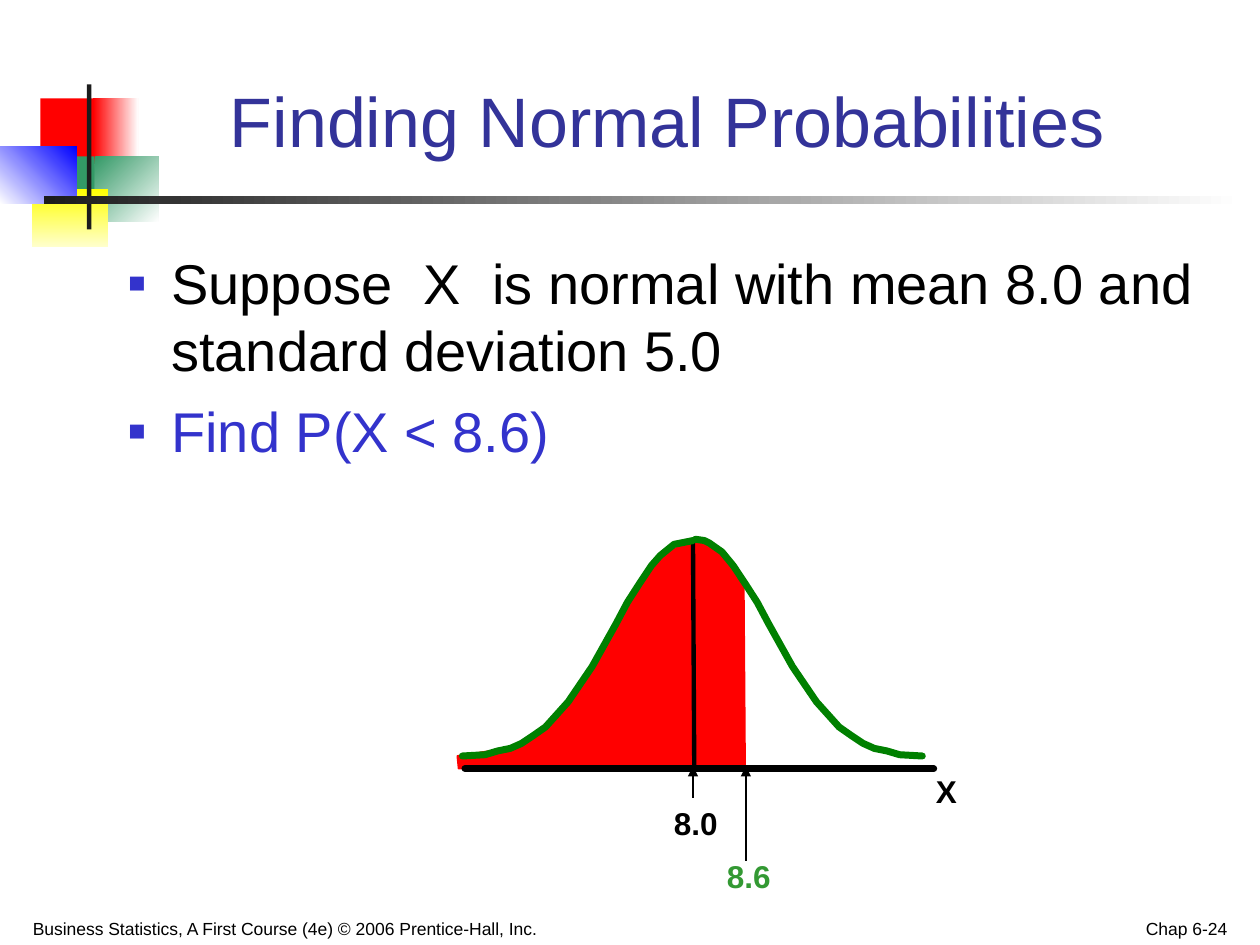
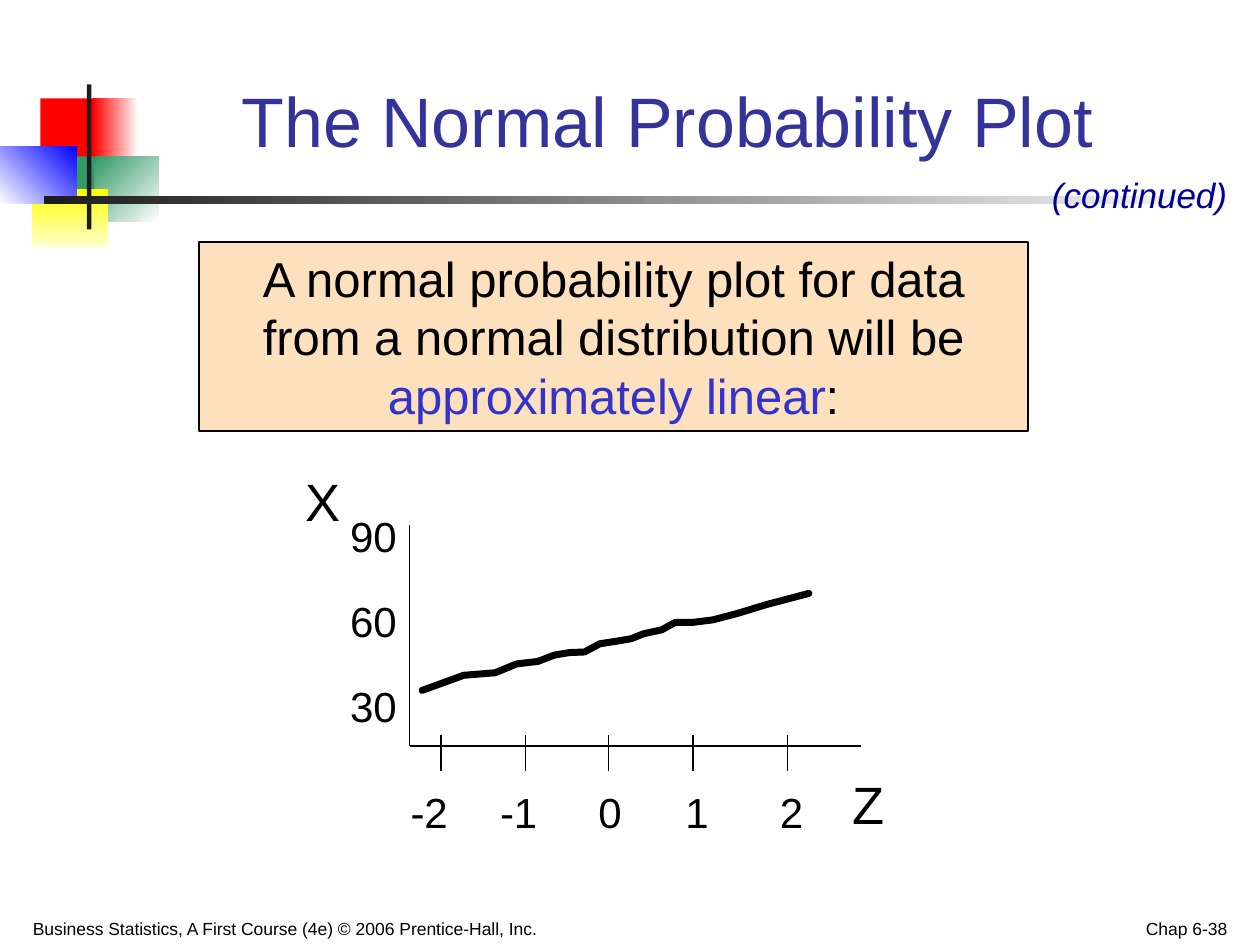
from dataclasses import dataclass
from typing import Optional, Sequence

import pptx
import pptx.dml.color
import pptx.enum.shapes
import pptx.enum.text
import pptx.oxml
import pptx.oxml.ns
import pptx.util

ALIGN = pptx.enum.text.PP_ALIGN
ANCHOR = pptx.enum.text.MSO_ANCHOR
RECTANGLE = pptx.enum.shapes.MSO_SHAPE.RECTANGLE
STRAIGHT = pptx.enum.shapes.MSO_CONNECTOR.STRAIGHT
NAMES = pptx.oxml.ns.nsdecls("a")
Points = Sequence[tuple[float, float]]

# The grid has 100 columns and 75 rows of equal, square cells
SLIDE_WIDTH, SLIDE_HEIGHT = pptx.util.Inches(10), pptx.util.Inches(7.5)
COLUMNS, ROWS = 100, 75


@dataclass(frozen=True)
class Theme:
    font: str = "Arial"
    ink: str = "000000"
    title: str = "333399"
    accent: str = "3333CC"
    continued: str = "000099"
    cutoff: str = "339933"
    curve: str = "008000"
    red: str = "FF0000"
    green: str = "339966"
    yellow: str = "FFFF00"
    pale_yellow: str = "FFFFCC"
    blue: str = "0000FF"
    white: str = "FFFFFF"
    bar: str = "1C1C1C"
    callout: str = "FDE0BD"
    title_size: float = 40
    body_size: float = 32
    callout_size: float = 28
    axis_name_size: float = 30
    tick_size: float = 24
    continued_size: float = 20
    label_size: float = 18
    footer_size: float = 10
    thin: float = 1
    medium: float = 2.5
    thick: float = 4


THEME = Theme()


@dataclass(frozen=True)
class Area:
    left: float
    top: float
    width: float
    height: float

    def emu(self) -> tuple[int, int, int, int]:
        return (*cell(self.left, self.top), *cell(self.width, self.height))


@dataclass(frozen=True)
class Block:
    area: Area
    start: str
    end: Optional[str] = None
    angle: float = 0


@dataclass(frozen=True)
class Words:
    text: str
    size: float
    color: str = THEME.ink
    bold: bool = False
    italic: bool = False
    tracking: float = 0


@dataclass(frozen=True)
class Label:
    area: Area
    words: Words
    align: ALIGN = ALIGN.LEFT
    anchor: ANCHOR = ANCHOR.TOP
    inset: float = 1


def cell(column: float, row: float) -> tuple[int, int]:
    return round(SLIDE_WIDTH * column / COLUMNS), round(SLIDE_HEIGHT * row / ROWS)


def rgb(color: str) -> pptx.dml.color.RGBColor:
    return pptx.dml.color.RGBColor.from_string(color)


# Drawing functions
def draw_block(slide, block: Block):
    box = slide.shapes.add_shape(RECTANGLE, *block.area.emu())
    box.shadow.inherit = False
    box.line.fill.background()
    if block.end is None:
        box.fill.solid()
        box.fill.fore_color.rgb = rgb(block.start)
    else:
        box.fill.gradient()
        box.fill.gradient_angle = (360 - block.angle) % 360
        for stop, color, position in zip(box.fill.gradient_stops, (block.start, block.end), (0, 1)):
            stop.color.rgb = rgb(color)
            stop.position = position
    return box


def add_words(paragraph, words: Words) -> None:
    run = paragraph.add_run()
    run.text = words.text
    run.font.name = THEME.font
    run.font.size = pptx.util.Pt(words.size)
    run.font.bold = words.bold
    run.font.italic = words.italic
    run.font.color.rgb = rgb(words.color)
    if words.tracking:
        run.font._element.set("spc", str(round(words.tracking * 100)))


def set_frame(frame, anchor: ANCHOR = ANCHOR.TOP, inset: float = 1) -> None:
    frame.word_wrap = True
    frame.vertical_anchor = anchor
    frame.margin_left = frame.margin_right = cell(inset, 0)[0]
    frame.margin_top = frame.margin_bottom = cell(0, 0.5)[1]


def draw_label(slide, label: Label) -> None:
    frame = slide.shapes.add_textbox(*label.area.emu()).text_frame
    set_frame(frame, label.anchor, label.inset)
    frame.paragraphs[0].alignment = label.align
    add_words(frame.paragraphs[0], label.words)


def draw_outline(slide, points: Points, fill: Optional[str] = None,
                 line: Optional[str] = None, weight: float = THEME.thin) -> None:
    corners = [cell(*point) for point in points]
    builder = slide.shapes.build_freeform(*corners[0])
    builder.add_line_segments(corners[1:], close=fill is not None)
    outline = builder.convert_to_shape()
    outline.shadow.inherit = False
    if fill:
        outline.fill.solid()
        outline.fill.fore_color.rgb = rgb(fill)
    else:
        outline.fill.background()
    if line:
        outline.line.color.rgb = rgb(line)
        outline.line.width = pptx.util.Pt(weight)
        stroke = outline.line._get_or_add_ln()
        stroke.set("cap", "rnd")
        stroke.append(pptx.oxml.parse_xml(f"<a:round {NAMES}/>"))
    else:
        outline.line.fill.background()


def draw_line(slide, start: tuple[float, float], end: tuple[float, float], arrow: bool = False) -> None:
    line = slide.shapes.add_connector(STRAIGHT, *cell(*start), *cell(*end))
    line.line.color.rgb = rgb(THEME.ink)
    line.line.width = pptx.util.Pt(THEME.thin)
    if arrow:
        line.line._get_or_add_ln().append(pptx.oxml.parse_xml(f'<a:tailEnd {NAMES} type="triangle"/>'))
    line._element.spPr.append(pptx.oxml.parse_xml(f"<a:effectLst {NAMES}/>"))


def add_bullet(paragraph) -> None:
    properties = paragraph._p.get_or_add_pPr()
    indent = cell(3.5, 0)[0]
    properties.set("marL", str(indent))
    properties.set("indent", str(-indent))
    for bullet in (f'<a:buClr {NAMES}><a:srgbClr val="{THEME.accent}"/></a:buClr>',
                   f'<a:buFont {NAMES} typeface="{THEME.font}"/>',
                   f'<a:buChar {NAMES} char="▪"/>'):
        properties.append(pptx.oxml.parse_xml(bullet))


# Shared parts: coloured blocks, rule, footers and title
ORNAMENT = (
    Block(Area(3.2, 7.8, 4.8, 5.2), THEME.red),
    Block(Area(7.4, 7.8, 3.6, 5.2), THEME.red, THEME.white),
    Block(Area(7.5, 12.4, 5.1, 5.2), THEME.green, THEME.white, 45),
    Block(Area(4.3, 12.4, 3.2, 5.2), THEME.green),
    Block(Area(2.5, 15, 6.1, 4.6), THEME.yellow, THEME.pale_yellow, 90),
    Block(Area(0, 11.6, 6.1, 4.6), THEME.white, THEME.blue, 315),
    Block(Area(6.9, 6.7, 0.35, 11.5), THEME.bar),
    Block(Area(3.5, 15.6, 95.1, 0.6), THEME.bar, THEME.white),
)
COPYRIGHT = "Business Statistics, A First Course (4e) © 2006 Prentice-Hall, Inc."


def start_slide(deck, title: str, page: str):
    slide = deck.slides.add_slide(deck.slide_layouts[6])
    for block in ORNAMENT:
        draw_block(slide, block)
    for area, words, align in (
        (Area(1.7, 71.5, 50.8, 3.5), Words(COPYRIGHT, THEME.footer_size), ALIGN.LEFT),
        (Area(75, 71.5, 23.3, 3.5), Words(page, THEME.footer_size), ALIGN.RIGHT),
        (Area(12.6, 2.5, 80.7, 10.8), Words(title, THEME.title_size, THEME.title), ALIGN.CENTER),
    ):
        draw_label(slide, Label(area, words, align, ANCHOR.BOTTOM, 0.9))
    return slide


# Normal curve: both halves share the flank, mirrored about the mean
MEAN, CUTOFF, BASELINE = 55, 59.2, 61
FLANK = ((36.7, 60), (38.5, 59.9), (39.5, 59.6), (40.5, 59.4), (41.4, 59), (42.3, 58.4), (43.3, 57.7),
         (45.1, 55.7), (47, 52.9), (48.9, 49.5), (49.8, 47.8), (50.8, 46.25), (51.7, 44.9))
LEFT_CREST = ((52.4, 44.1), (53.5, 43.2), (MEAN, 42.9))
RIGHT_CREST = ((57.3, 43.8), (56.3, 43.1), (55.9, 42.9), (55.2, 42.8))
AREA_TO_CUTOFF = ((55.1, 42.9), (MEAN, 60.9), (CUTOFF, BASELINE), (59.1, 46.4),
                  (58.5, 45.4), (58, 44.7), (56.8, 43.3))
AREA_TO_MEAN = ((MEAN, 60.8), (55.4, 42.7), (52.6, 44), (51, 46.2), (49.7, 48.4), (48.4, 50.9), (47.4, 52.6),
                (46.1, 54.5), (45.3, 55.8), (43.7, 57.2), (40.9, 59.3), (36.3, 60), (36.4, BASELINE))


def build_probabilities(deck) -> None:
    slide = start_slide(deck, "Finding Normal Probabilities", "Chap 6-24")

    # Question
    size = THEME.body_size
    wide_space = Words(" ", size, tracking=8.9)
    points = (
        (Words("Suppose", size), wide_space, Words("X", size), wide_space,
         Words("is normal with mean 8.0 and standard deviation 5.0", size)),
        (Words("Find P(X < 8.6)", size, THEME.accent),),
    )
    question = slide.shapes.add_textbox(*Area(9.2, 19.2, 88.3, 49.6).emu()).text_frame
    set_frame(question, inset=0.9)
    for index, point in enumerate(points):
        paragraph = question.add_paragraph() if index else question.paragraphs[0]
        if index:
            paragraph.space_before = pptx.util.Pt(8)
        add_bullet(paragraph)
        for words in point:
            add_words(paragraph, words)

    # Shaded area and curve
    draw_outline(slide, AREA_TO_CUTOFF, THEME.red)
    draw_outline(slide, AREA_TO_MEAN, THEME.red, THEME.red)
    draw_outline(slide, ((MEAN, 43), (55.1, 60.8)), line=THEME.ink, weight=THEME.medium)
    right_flank = tuple((2 * MEAN - 0.1 - x, y) for x, y in FLANK)
    for half in (FLANK + LEFT_CREST, right_flank + RIGHT_CREST):
        draw_outline(slide, half, line=THEME.curve, weight=THEME.thick)
    draw_outline(slide, ((36.9, BASELINE), (74.1, BASELINE)), line=THEME.ink, weight=THEME.thick)

    # Values on the axis
    for area, text, color in ((Area(73.3, 60.8, 4.2, 4), "X", THEME.ink),
                              (Area(56.7, 67.5, 6, 4), "8.6", THEME.cutoff),
                              (Area(52.5, 63.3, 6, 4), "8.0", THEME.ink)):
        draw_label(slide, Label(area, Words(text, THEME.label_size, color, bold=True)))
    for column, foot in ((MEAN, 63.3), (CUTOFF, 68.3)):
        draw_line(slide, (column, foot), (column, 60.8), arrow=True)


# Probability plot
ORIGIN = (32.5, 59.2)
PLOT = ((33.5, 54.8), (36.8, 53.6), (39.3, 53.4), (41, 52.7), (42.7, 52.5), (44, 52), (45.2, 51.8),
        (46.4, 51.75), (47.6, 51.1), (48.9, 50.9), (50.1, 50.7), (51.1, 50.3), (52.5, 50), (53.6, 49.4),
        (55, 49.4), (56.6, 49.2), (58.5, 48.7), (60.8, 48), (64.2, 47.1))
# Each Z value with its tick column and label column
Z_TICKS = (("-2", 35, 31.6), ("-1", 41.7, 38.7), ("0", 48.3, 46.5), ("1", 55, 53.4), ("2", 62.5, 60.9))
TICK_LABEL_WIDTH = 6.5


def build_plot(deck) -> None:
    slide = start_slide(deck, "The Normal Probability Plot", "Chap 6-38")
    draw_label(slide, Label(Area(82.5, 13.3, 17.5, 4.4),
                            Words("(continued)", THEME.continued_size, THEME.continued, italic=True)))

    # Callout
    callout = draw_block(slide, Block(Area(15.8, 19.2, 65.8, 15), THEME.callout))
    callout.line.color.rgb = rgb(THEME.ink)
    callout.line.width = pptx.util.Pt(THEME.thin)
    set_frame(callout.text_frame)
    statement = callout.text_frame.paragraphs[0]
    statement.alignment = ALIGN.CENTER
    for text, color in (("A normal probability plot for data from a normal distribution will be ", THEME.ink),
                        ("approximately linear", THEME.accent), (":", THEME.ink)):
        add_words(statement, Words(text, THEME.callout_size, color))

    # Axes, ticks and plotted line
    for end in ((68.3, ORIGIN[1]), (ORIGIN[0], 41.7)):
        draw_line(slide, ORIGIN, end)
    for text, tick, left in Z_TICKS:
        draw_line(slide, (tick, 61.2), (tick, 58.3))
        draw_label(slide, Label(Area(left, 61.9, TICK_LABEL_WIDTH, 5), Words(text, THEME.tick_size)))
    for step, text in enumerate(("30", "60", "90")):
        draw_label(slide, Label(Area(26.8, 53.5 - 6.75 * step, TICK_LABEL_WIDTH, 5), Words(text, THEME.tick_size)))
    draw_outline(slide, PLOT, line=THEME.ink, weight=THEME.thick)
    for area, text in ((Area(66.7, 60.8, 5, 6), "Z"), (Area(23.3, 36.7, 5, 6), "X")):
        draw_label(slide, Label(area, Words(text, THEME.axis_name_size)))


def main() -> None:
    deck = pptx.Presentation()
    deck.slide_width, deck.slide_height = SLIDE_WIDTH, SLIDE_HEIGHT
    build_probabilities(deck)
    build_plot(deck)
    deck.save("out.pptx")


if __name__ == "__main__":
    main()
